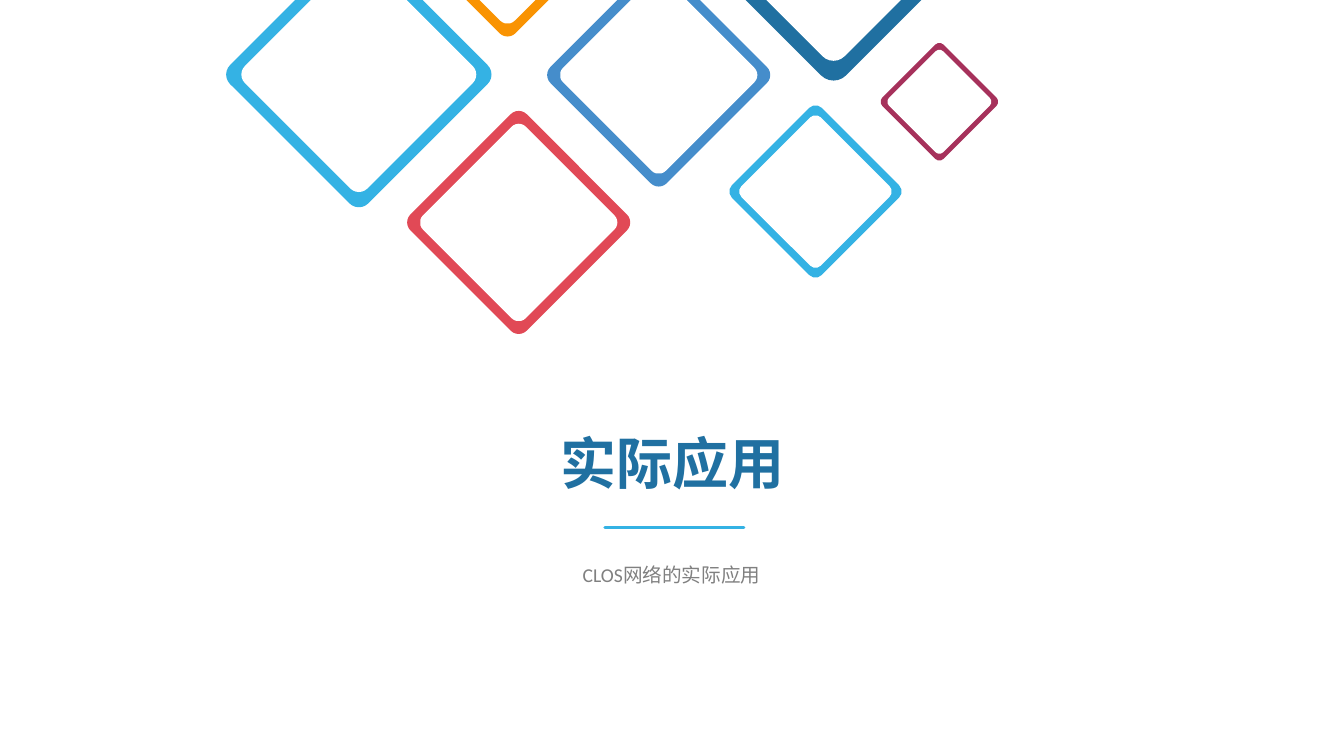
from dataclasses import dataclass

from lxml import etree
from pptx import Presentation
from pptx.dml.color import RGBColor
from pptx.enum.shapes import MSO_CONNECTOR, MSO_SHAPE
from pptx.enum.text import MSO_AUTO_SIZE, PP_ALIGN
from pptx.oxml.ns import qn
from pptx.util import Pt


@dataclass(frozen=True)
class Theme:
    font: str = "Calibri"
    title_size: float = 40
    subtitle_size: float = 14
    white: str = "FFFFFF"
    sky: str = "34B2E4"
    navy: str = "2070A1"
    blue: str = "458DCB"
    red: str = "E14956"
    orange: str = "F99302"
    plum: str = "A6315B"
    gray: str = "808080"


THEME = Theme()
INNER_RATIO = 0.885
CORNER_RATIO = 0.069

# Center x, center y, side and color, from back to front
DIAMONDS = [
    (362.5, -53.6, 117.4, THEME.orange),
    (470.5, 53.6, 117.4, THEME.blue),
    (370.5, 158.9, 117.4, THEME.red),
    (595.4, -65.5, 181.4, THEME.navy),
    (256.3, 53.3, 139.7, THEME.sky),
    (671, 72.7, 61.9, THEME.plum),
    (582.5, 136.8, 90.7, THEME.sky),
]


def add_diamond(slide, center_x, center_y, side, color):
    """Add a rounded square standing on its corner."""
    shape = slide.shapes.add_shape(
        MSO_SHAPE.ROUNDED_RECTANGLE,
        Pt(center_x - side / 2), Pt(center_y - side / 2), Pt(side), Pt(side))
    shape.adjustments[0] = CORNER_RATIO
    shape.rotation = 45
    shape.shadow.inherit = False
    shape.fill.solid()
    shape.fill.fore_color.rgb = RGBColor.from_string(color)
    shape.line.fill.background()


def add_diamond_frame(slide, center_x, center_y, side, color):
    add_diamond(slide, center_x, center_y, side, color)
    add_diamond(slide, center_x, center_y, side * INNER_RATIO, THEME.white)


def add_centered_text(slide, text, left, top, width, height, size, color,
                      bold=False, wrap=True, line_spacing=1.0):
    text_box = slide.shapes.add_textbox(Pt(left), Pt(top), Pt(width), Pt(height))
    text_frame = text_box.text_frame
    text_frame.text = text
    text_frame.word_wrap = wrap
    text_frame.auto_size = MSO_AUTO_SIZE.SHAPE_TO_FIT_TEXT
    paragraph = text_frame.paragraphs[0]
    paragraph.alignment = PP_ALIGN.CENTER
    paragraph.line_spacing = line_spacing
    font = paragraph.runs[0].font
    font.name = THEME.font
    font.size = Pt(size)
    font.bold = bold
    font.color.rgb = RGBColor.from_string(color)


def add_divider(slide, left, right, y, color):
    connector = slide.shapes.add_connector(
        MSO_CONNECTOR.STRAIGHT, Pt(left), Pt(y), Pt(right), Pt(y))
    connector.line.color.rgb = RGBColor.from_string(color)
    connector.line.width = Pt(2)
    connector.line._ln.set("cap", "rnd")
    etree.SubElement(connector._element.spPr, qn("a:effectLst"))


def main():
    presentation = Presentation()
    presentation.slide_width = Pt(960)
    presentation.slide_height = Pt(540)
    slide = presentation.slides.add_slide(presentation.slide_layouts[6])

    # Diamond cluster
    for diamond in DIAMONDS:
        add_diamond_frame(slide, *diamond)

    # Title, divider and subtitle
    add_centered_text(slide, "实际应用", 393, 302.4, 174.2, 55.7,
                      THEME.title_size, THEME.navy, bold=True, wrap=False)
    add_centered_text(slide, "CLOS网络的实际应用", 231.8, 390.2, 496, 32.4,
                      THEME.subtitle_size, THEME.gray, line_spacing=1.5)
    add_divider(slide, 432, 531.4, 376.6, THEME.sky)

    presentation.save("out.pptx")


if __name__ == "__main__":
    main()
